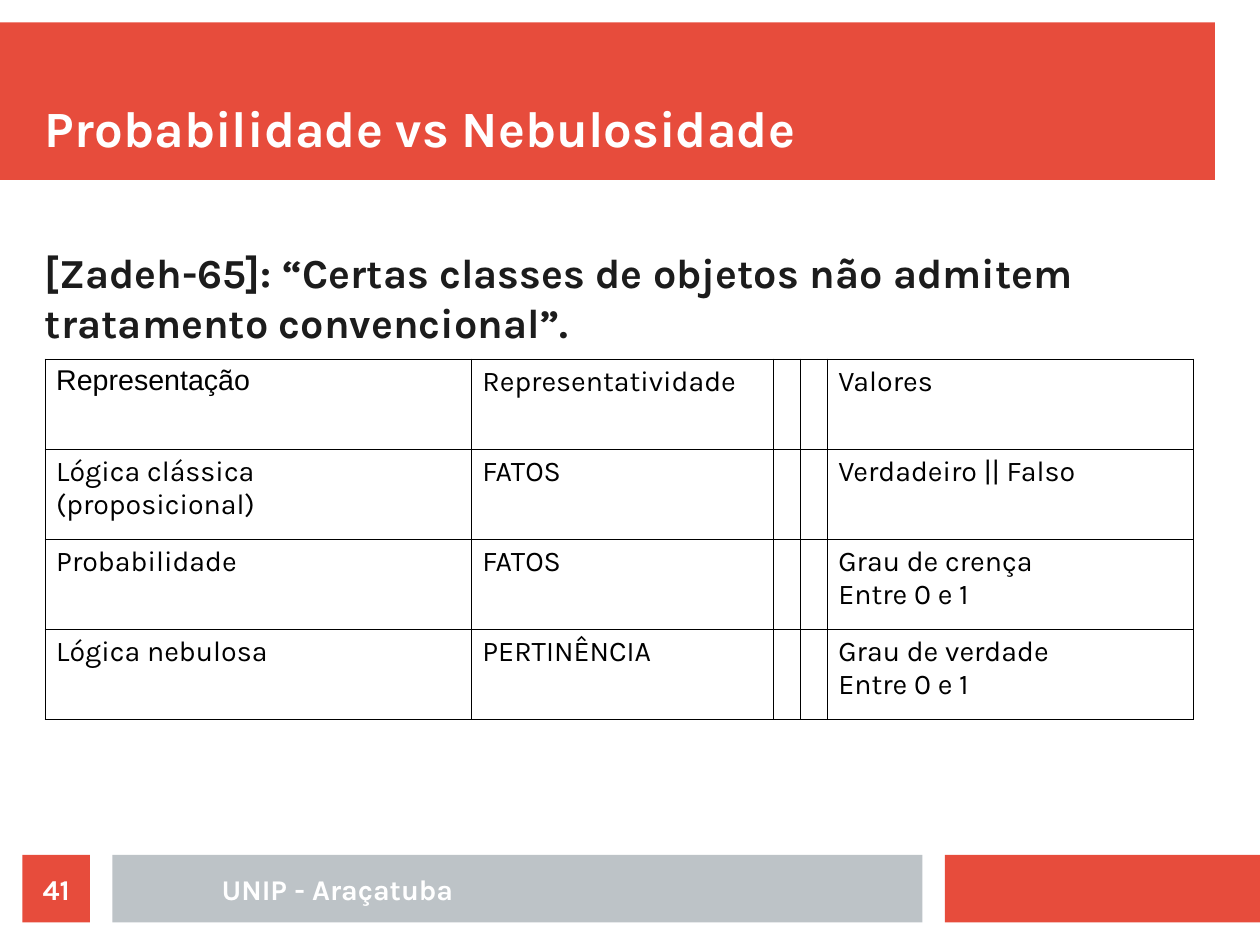
from dataclasses import dataclass
from typing import Any

from lxml import etree
from pptx import Presentation
from pptx.dml.color import RGBColor
from pptx.enum import shapes, text
from pptx.oxml import ns
from pptx.util import Cm, Pt

HUES = {"red": "E74C3C", "gray": "BDC3C7", "white": "FFFFFF",
        "dark": "1C1C1C", "black": "000000"}
LEFT, MID = text.PP_ALIGN.LEFT, text.PP_ALIGN.CENTER
TOP, CORE, LOW = (text.MSO_ANCHOR.TOP, text.MSO_ANCHOR.MIDDLE,
                  text.MSO_ANCHOR.BOTTOM)
EDGES = ("lnL", "lnR", "lnT", "lnB")
WIDTHS = (9.47, 6.71, 0.6, 0.6, 8.13)
ROWS = (
    ("Representação", "Representatividade", "", "", "Valores"),
    ("Lógica clássica (proposicional)", "FATOS", "", "",
     "Verdadeiro || Falso"),
    ("Probabilidade", "FATOS", "", "", "Grau de crença\nEntre 0 e 1"),
    ("Lógica nebulosa", "PERTINÊNCIA", "", "",
     "Grau de verdade\nEntre 0 e 1"),
)


@dataclass
class Box:
    left: float
    top: float
    width: float
    height: float

    def place(self) -> tuple:
        return Cm(self.left), Cm(self.top), Cm(self.width), Cm(self.height)


@dataclass
class Style:
    size: int
    hue: str
    bold: bool = True
    name: str = "Karla"
    align: Any = LEFT
    anchor: Any = TOP


BANDS = (
    (Box(0, 0.5, 27, 3.5), "red"),
    (Box(21, 19, 7, 1.5), "red"),
    (Box(2.5, 19, 18, 1.5), "gray"),
)
HEAD = Style(32, "white", anchor=LOW)
QUOTE = Style(26, "dark")
FOOT = Style(18, "white", align=MID, anchor=CORE)
CELL = Style(18, "black", bold=False)
FIRST = Style(18, "black", bold=False, name="Arial")


def tint(hue: str) -> RGBColor:
    return RGBColor.from_string(HUES[hue])


def apply(item: Any, values: dict) -> None:
    for key, value in values.items():
        setattr(item, key, value)


def style(frame: Any, look: Style) -> None:
    for para in frame.paragraphs:
        para.alignment = look.align
        apply(para.font, {"size": Pt(look.size), "bold": look.bold,
                          "name": look.name})
        para.font.color.rgb = tint(look.hue)
        for run in para.runs:
            apply(run.font, {"size": Pt(look.size), "bold": look.bold,
                             "name": look.name})
            run.font.color.rgb = tint(look.hue)


def write(shape: Any, words: str, look: Style) -> None:
    frame = shape.text_frame
    frame.text = words
    apply(frame, {"margin_left": 0, "margin_right": 0, "margin_top": 0,
                  "margin_bottom": 0, "word_wrap": True,
                  "auto_size": text.MSO_AUTO_SIZE.NONE,
                  "vertical_anchor": look.anchor})
    style(frame, look)


def block(slide: Any, box: Box, hue: str) -> Any:
    shape = slide.shapes.add_shape(shapes.MSO_SHAPE.RECTANGLE, *box.place())
    shape.shadow.inherit = False
    shape.fill.solid()
    shape.fill.fore_color.rgb = tint(hue)
    shape.line.fill.background()
    return shape


def label(slide: Any, box: Box, words: str, look: Style) -> None:
    write(slide.shapes.add_textbox(*box.place()), words, look)


def border(cell: Any) -> None:
    props = cell._tc.get_or_add_tcPr()
    for edge in EDGES:
        line = etree.SubElement(props, ns.qn(f"a:{edge}"), w=str(Pt(0.57)))
        fill = etree.SubElement(line, ns.qn("a:solidFill"))
        etree.SubElement(fill, ns.qn("a:srgbClr"), val=HUES["black"])


def grid(slide: Any, box: Box) -> None:
    table = slide.shapes.add_table(len(ROWS), len(WIDTHS),
                                   *box.place()).table
    apply(table, {"first_row": False, "horz_banding": False})
    for col, width in zip(table.columns, WIDTHS):
        col.width = Cm(width)
    for r, row in enumerate(ROWS):
        for c, words in enumerate(row):
            cell = table.cell(r, c)
            cell.text_frame.text = words
            apply(cell, {"margin_left": Cm(0.25), "margin_right": Cm(0.25),
                         "margin_top": Cm(0.13), "margin_bottom": Cm(0.13)})
            style(cell.text_frame, FIRST if r == c == 0 else CELL)
            border(cell)
            cell.fill.background()


def main() -> None:
    deck = Presentation()
    apply(deck, {"slide_width": Cm(28), "slide_height": Cm(21)})
    slide = deck.slides.add_slide(deck.slide_layouts[5])
    bands = [block(slide, box, hue) for box, hue in BANDS]
    title = slide.shapes.title
    spots = Box(1, 1, 26, 2.5).place()
    apply(title, dict(zip(("left", "top", "width", "height"), spots)))
    write(title, "Probabilidade vs Nebulosidade", HEAD)
    bands[-1].element.addnext(title.element)
    label(slide, Box(1, 5.5, 25.5, 13),
          "[Zadeh-65]: “Certas classes de objetos não admitem "
          "tratamento convencional”.", QUOTE)
    grid(slide, Box(1, 7.98, 25.5, 8))
    label(slide, Box(3, 19, 9, 1.5), "UNIP - Araçatuba", FOOT)
    write(block(slide, Box(0.5, 19, 1.5, 1.5), "red"), "41", FOOT)
    deck.save("out.pptx")


if __name__ == "__main__":
    main()
